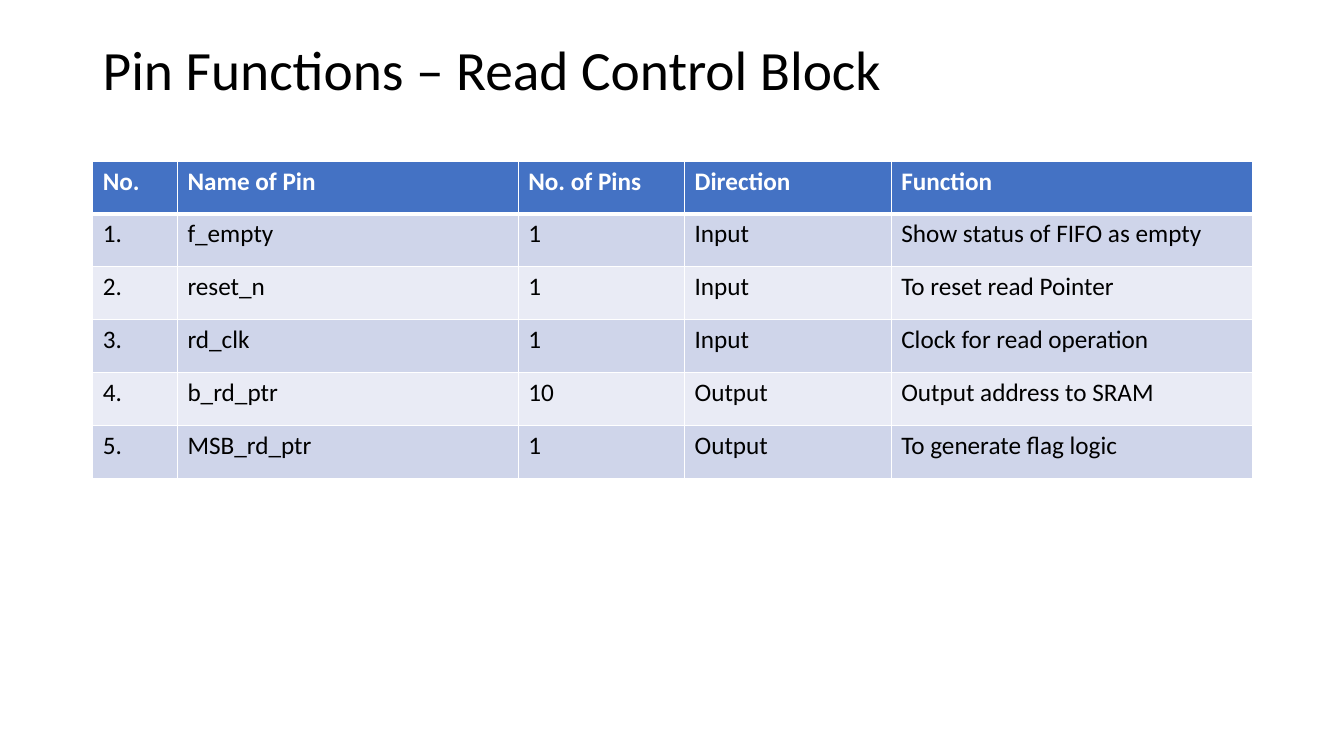
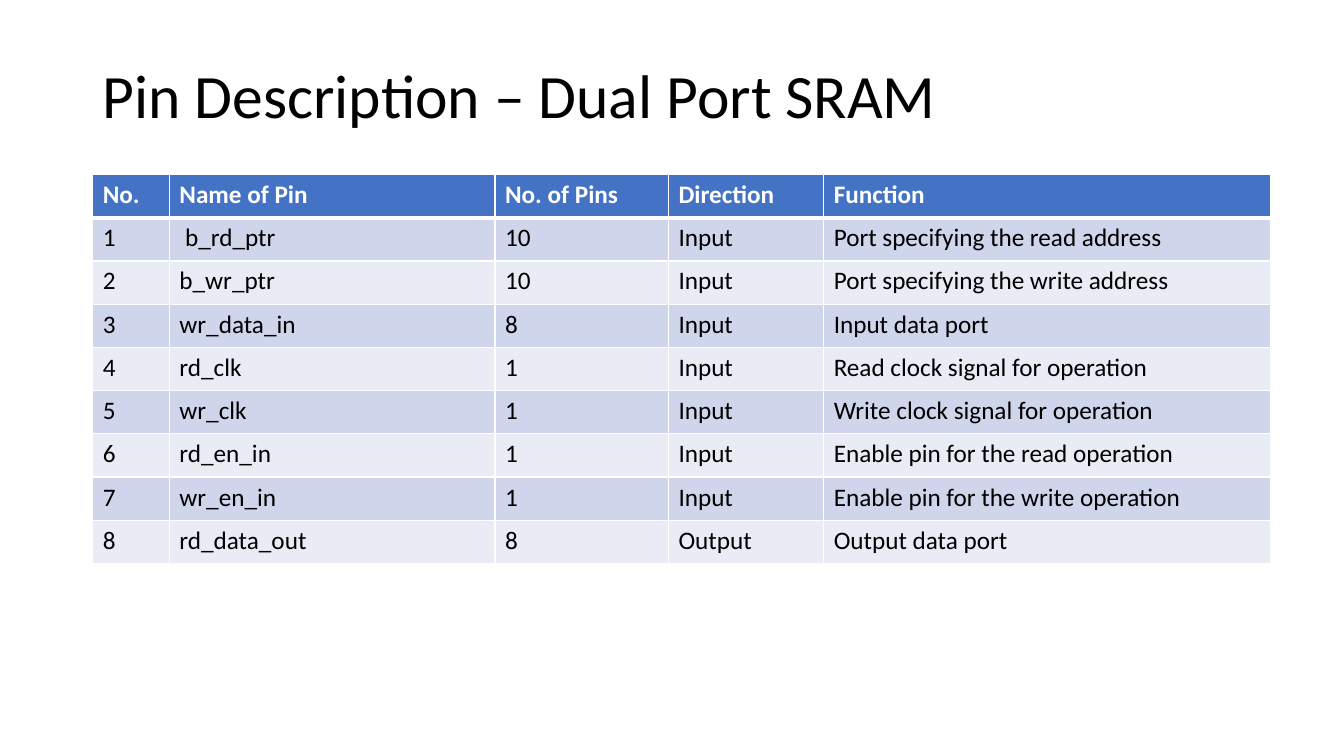
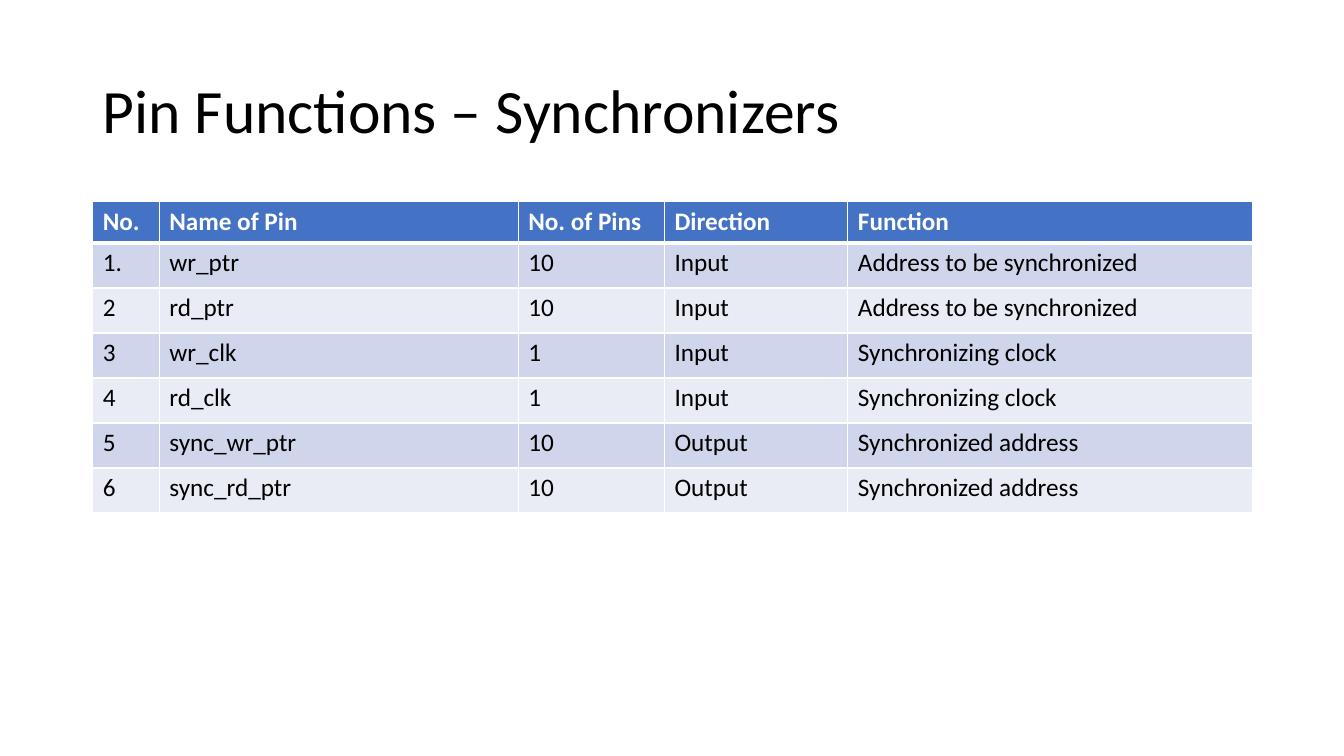
from lxml.etree import SubElement
from pptx import Presentation
from pptx.dml.color import RGBColor
from pptx.enum.text import MSO_ANCHOR
from pptx.oxml.ns import qn
from pptx.util import Inches, Pt

FONT = "Calibri"
BLACK = RGBColor(0x00, 0x00, 0x00)
WHITE = RGBColor(0xFF, 0xFF, 0xFF)
HEADER_BLUE = RGBColor(0x44, 0x72, 0xC4)
BAND_DARK = RGBColor(0xCF, 0xD5, 0xEA)
BAND_LIGHT = RGBColor(0xE9, 0xEB, 0xF5)

LEFT = 0.92
TITLE_TOP = 0.4
TITLE_WIDTH = 11.5
THIN, THICK = 1, 3
HEADINGS = ("No.", "Name of Pin", "No. of Pins", "Direction", "Function")

READ_CONTROL_PINS = [
    ("1.", "f_empty", "1", "Input", "Show status of FIFO as empty"),
    ("2.", "reset_n", "1", "Input", "To reset read Pointer"),
    ("3.", "rd_clk", "1", "Input", "Clock for read operation"),
    ("4.", "b_rd_ptr", "10", "Output", "Output address to SRAM"),
    ("5.", "MSB_rd_ptr", "1", "Output", "To generate flag logic"),
]
SRAM_PINS = [
    ("1", " b_rd_ptr", "10", "Input", "Port specifying the read address"),
    ("2", "b_wr_ptr", "10", "Input", "Port specifying the write address"),
    ("3", "wr_data_in", "8", "Input", "Input data port"),
    ("4", "rd_clk", "1", "Input", "Read clock signal for operation"),
    ("5", "wr_clk", "1", "Input", "Write clock signal for operation"),
    ("6", "rd_en_in", "1", "Input", "Enable pin for the read operation"),
    ("7", "wr_en_in", "1", "Input", "Enable pin for the write operation"),
    ("8", "rd_data_out", "8", "Output", "Output data port"),
]
SYNCHRONIZER_PINS = [
    ("1.", "wr_ptr", "10", "Input", "Address to be synchronized"),
    ("2", "rd_ptr", "10", "Input", "Address to be synchronized"),
    ("3", "wr_clk", "1", "Input", "Synchronizing clock"),
    ("4", "rd_clk", "1", "Input", "Synchronizing clock"),
    ("5", "sync_wr_ptr", "10", "Output", "Synchronized address"),
    ("6", "sync_rd_ptr", "10", "Output", "Synchronized address"),
]


def write_text(tf, text, size=18, color=BLACK, bold=False, spacing=1.0):
    p = tf.paragraphs[0]
    p.line_spacing = spacing
    r = p.add_run()
    r.text = text
    r.font.name = FONT
    r.font.size = Pt(size)
    r.font.bold = bold
    r.font.color.rgb = color


def set_borders(cell, top, bottom):
    tcPr = cell._tc.get_or_add_tcPr()
    for side, width in (("L", THIN), ("R", THIN), ("T", top), ("B", bottom)):
        ln = SubElement(tcPr, qn(f"a:ln{side}"), w=str(Pt(width)))
        fill = SubElement(ln, qn("a:solidFill"))
        SubElement(fill, qn("a:srgbClr"), val=str(WHITE))


class PinDeck:
    def __init__(self):
        self.prs = Presentation()
        self.prs.slide_width = Inches(13.33)
        self.prs.slide_height = Inches(7.5)
        self.s = None

    def add_slide(self):
        self.s = self.prs.slides.add_slide(self.prs.slide_layouts[6])

    def add_title(self, text, height, size=44):
        sp = self.s.shapes.add_textbox(Inches(LEFT), Inches(TITLE_TOP),
                                       Inches(TITLE_WIDTH), Inches(height))
        tf = sp.text_frame
        tf.word_wrap = True
        tf.vertical_anchor = MSO_ANCHOR.MIDDLE
        write_text(tf, text, size=size, spacing=0.9)

    def add_pin_table(self, pins, top, height, header_height, widths):
        rows = [HEADINGS, *pins]
        table = self.s.shapes.add_table(
            len(rows), len(widths), Inches(LEFT), Inches(top),
            Inches(sum(widths)), Inches(height)).table
        for column, width in zip(table.columns, widths):
            column.width = Inches(width)
        pin_height = (height - header_height) / len(pins)
        for i, row in enumerate(rows):
            header = i == 0
            table.rows[i].height = Inches(header_height if header else pin_height)
            band = BAND_DARK if i % 2 else BAND_LIGHT
            for j, text in enumerate(row):
                cell = table.cell(i, j)
                set_borders(cell, top=THICK if i == 1 else THIN,
                            bottom=THICK if header else THIN)
                cell.fill.solid()
                cell.fill.fore_color.rgb = HEADER_BLUE if header else band
                write_text(cell.text_frame, text, bold=header,
                           color=WHITE if header else BLACK)


def main():
    deck = PinDeck()

    deck.add_slide()
    deck.add_title("Pin Functions – Read Control Block", height=0.64, size=39.6)
    deck.add_pin_table(READ_CONTROL_PINS, top=1.6, height=3.15, header_height=0.52,
                       widths=(0.84, 3.38, 1.65, 2.05, 3.58))

    deck.add_slide()
    deck.add_title("Pin Description – Dual Port SRAM", height=1.15)
    deck.add_pin_table(SRAM_PINS, top=1.73, height=3.86, header_height=0.43,
                       widths=(0.76, 3.23, 1.72, 1.54, 4.43))

    deck.add_slide()
    deck.add_title("Pin Functions – Synchronizers", height=1.45)
    deck.add_pin_table(SYNCHRONIZER_PINS, top=2, height=3.09, header_height=0.41,
                       widths=(0.66, 3.56, 1.45, 1.82, 4.01))

    deck.prs.save("out.pptx")


if __name__ == "__main__":
    main()
